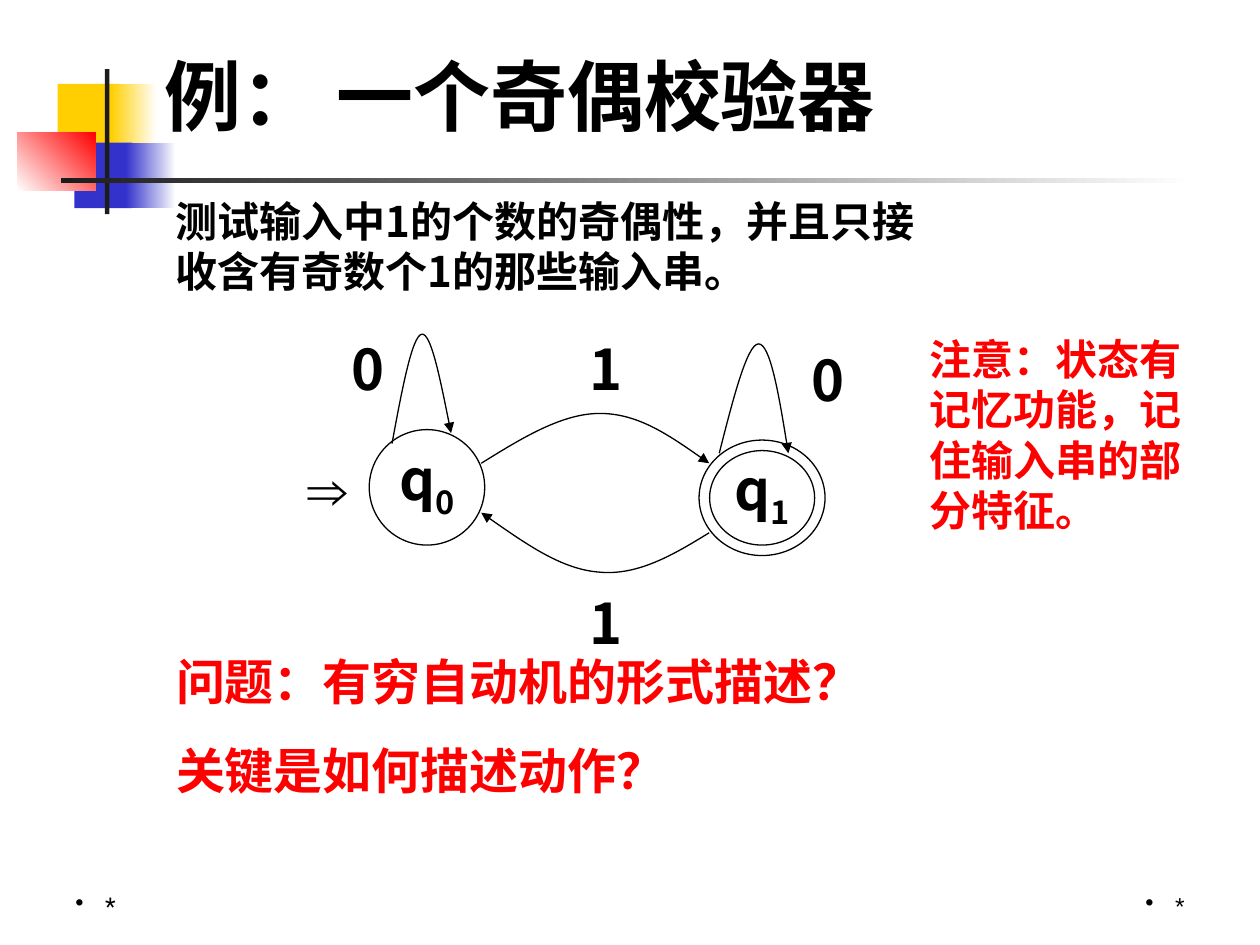
from dataclasses import dataclass
from lxml.etree import SubElement
from pptx import Presentation
from pptx.dml.color import RGBColor
from pptx.enum.shapes import MSO_SHAPE as Kind
from pptx.enum.text import MSO_ANCHOR as Anchor, PP_ALIGN as Align
from pptx.oxml.ns import qn
from pptx.util import Pt


@dataclass(frozen=True)
class Theme:
    black: str = "000000"
    white: str = "FFFFFF"
    red: str = "FF0000"
    gold: str = "FFCF01"
    blue: str = "3333CC"
    ink: str = "1C1C1C"
    han: str = "Noto Sans CJK SC"
    plain: str = "Roboto"
    sans: str = "Arial"
    serif: str = "Times New Roman"
    title: int = 44
    state: int = 32
    ask: int = 28
    body: int = 24
    foot: int = 14
    line: float = 0.75
    lead: float = 1.2
    drop: float = 0.08


T = Theme()

BARS = [
    ((33, 48, 35, 37.5), [T.gold], 0),
    ((63.5, 48, 26, 37.5), [T.gold, T.white], 0),
    ((42.5, 81.5, 33, 37.5), [T.blue], 0),
    ((72, 81.5, 28.5, 37.5), [T.blue, T.white], 0),
    ((10, 75.5, 44.5, 33.5), [T.white, T.red], 45),
    ((60, 39.5, 2.5, 83), [T.ink], 0),
    ((35, 101.5, 648, 3), [T.ink, T.white], 0),
]
TITLE = ((87, 20, 448.5, 68.5), "例： 一个奇偶校验器")
FEET = [
    ((36, 492, 168, 37.5), T.plain, Align.LEFT),
    ((516, 492, 168, 37.5), T.sans, Align.RIGHT),
]
RINGS = [
    ((211, 245.5, 66, 66), "0"),
    ((399.5, 251.5, 72, 66), ""),
    ((405.5, 257.5, 60, 54), "1"),
]
EDGES = [
    ("0", (193.75, 185), [(224, 253.5), (229.75, 222.5), (235.5, 192), (241, 191),
                          (246.25, 190), (252, 219), (257.75, 247.5)]),
    ("0", (456.5, 191), [(411, 259), (419, 227.5), (427, 196.5), (433.5, 196.5),
                         (440, 196.5), (445.5, 227.5), (450.5, 259)]),
    ("1", (330, 185), [(275, 264.75), (298, 250.5), (321, 236.25), (342.75, 236.25),
                       (364.5, 236.25), (385, 250.5), (405.25, 264.75)]),
    ("1", (330, 330), [(405.25, 304.5), (385, 317), (364.5, 329), (342.75, 327),
                       (321, 325.5), (298, 309), (275, 293)]),
]
LABEL = (30, 46)
START = ((127.5, 253.5, 120, 46), "⇒")
NOTES = [
    ((93.5, 106, 448, 65), ["测试输入中1的个数的奇偶性，并且只接收含有奇数个1的那些输入串。"],
     T.han, T.body, T.black),
    ((93.5, 366.5, 430.5, 92), ["问题：有穷自动机的形式描述？", "关键是如何描述动作？"],
     T.plain, T.ask, T.red),
    ((524, 185, 176, 122.5), ["注意：状态有记忆功能，记住输入串的部分特征。"],
     T.plain, T.body, T.red),
]


def tint(code):
    return RGBColor.from_string(code)


def add_run(para, text, face, size, color=T.black, bold=True):
    run = para.add_run()
    run.text = text
    font = run.font
    font.name, font.size, font.bold = face, Pt(size), bold
    font.color.rgb = tint(color)
    props = run._r.get_or_add_rPr()
    SubElement(props, qn("a:ea")).set("typeface", T.han)
    return props


def add_box(slide, box, anchor=Anchor.TOP):
    frame = slide.shapes.add_textbox(*map(Pt, box)).text_frame
    frame.word_wrap = True
    frame.vertical_anchor = anchor
    return frame


def add_note(slide, box, lines, face, size, color=T.black, align=Align.LEFT):
    frame = add_box(slide, box)
    frame.margin_top = Pt(round(3.6 + T.drop * size, 2))
    for index, text in enumerate(lines):
        para = frame.add_paragraph() if index else frame.paragraphs[0]
        para.alignment = align
        para.space_before = Pt(size * 0.625)
        para.line_spacing = Pt(size * T.lead)
        add_run(para, text, face, size, color)


def add_bar(slide, box, tones, angle):
    bar = slide.shapes.add_shape(Kind.RECTANGLE, *map(Pt, box))
    bar.shadow.inherit = False
    bar.line.fill.background()
    if len(tones) == 1:
        bar.fill.solid()
        bar.fill.fore_color.rgb = tint(tones[0])
        return
    bar.fill.gradient()
    bar.fill.gradient_angle = angle
    for stop, tone in zip(bar.fill.gradient_stops, tones):
        stop.color.rgb = tint(tone)


def outline(shape):
    shape.shadow.inherit = False
    shape.line.color.rgb = tint(T.black)
    shape.line.width = Pt(T.line)


def add_ring(slide, box, index):
    ring = slide.shapes.add_shape(Kind.OVAL, *map(Pt, box))
    outline(ring)
    ring.fill.solid()
    ring.fill.fore_color.rgb = tint(T.white)
    if index:
        frame = ring.text_frame
        frame.word_wrap = False
        frame.vertical_anchor = Anchor.MIDDLE
        para = frame.paragraphs[0]
        para.alignment = Align.CENTER
        para.line_spacing = Pt(T.state * T.lead)
        add_run(para, "q", T.han, T.state)
        add_run(para, index, T.han, T.state).set("baseline", "-25000")


def add_curve(slide, points):
    spots = [(Pt(x), Pt(y)) for x, y in points]
    pen = slide.shapes.build_freeform(*spots[0])
    pen.add_line_segments(spots[1:], close=False)
    curve = pen.convert_to_shape()
    outline(curve)
    curve.fill.background()
    SubElement(curve.line._get_or_add_ln(), qn("a:tailEnd")).set("type", "triangle")
    steps = list(curve._element.iter(qn("a:lnTo")))
    for first in range(0, len(steps), 3):
        bend = SubElement(steps[first].getparent(), qn("a:cubicBezTo"))
        for step in steps[first:first + 3]:
            bend.append(step[0])
            step.getparent().remove(step)


def add_foot(slide, box, face, align):
    para = add_box(slide, box, Anchor.BOTTOM).paragraphs[0]
    para.alignment = align
    props = para._p.get_or_add_pPr()
    props.set("marL", str(Pt(17)))
    props.set("indent", str(-Pt(17)))
    SubElement(props, qn("a:buChar")).set("char", "•")
    add_run(para, "*", face, T.foot, bold=False)


def main():
    """Build the parity checker slide."""
    deck = Presentation()
    deck.slide_width, deck.slide_height = Pt(720), Pt(540)
    slide = deck.slides.add_slide(deck.slide_layouts[6])
    for bar in BARS:
        add_bar(slide, *bar)
    for foot in FEET:
        add_foot(slide, *foot)
    box, text = TITLE
    para = add_box(slide, box, Anchor.MIDDLE).paragraphs[0]
    add_run(para, text, T.serif, T.title)
    for ring in RINGS:
        add_ring(slide, *ring)
    for sign, spot, points in EDGES:
        add_note(slide, spot + LABEL, [sign], T.han, T.state)
        add_curve(slide, points)
    box, text = START
    add_note(slide, box, [text], T.sans, T.state, align=Align.CENTER)
    for note in NOTES:
        add_note(slide, *note)
    deck.save("out.pptx")


if __name__ == "__main__":
    main()
